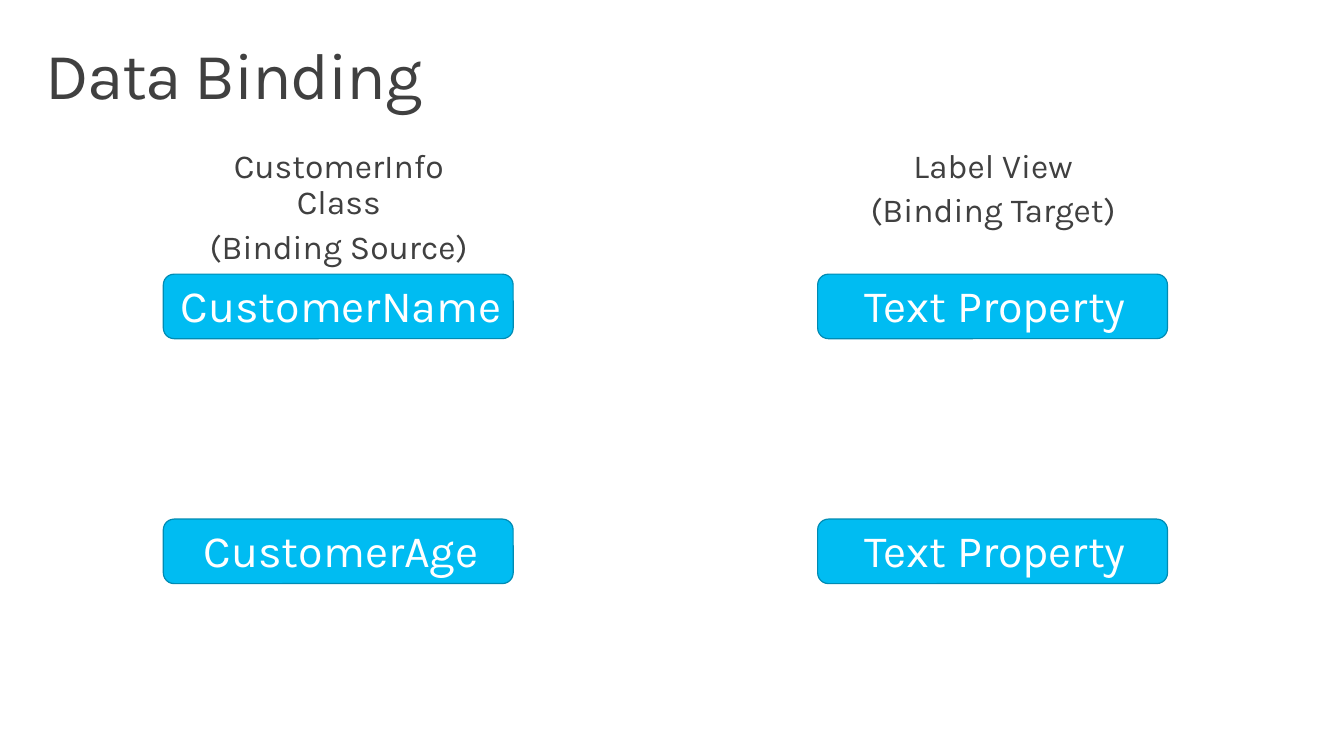
from pptx import Presentation
from pptx import util as u
from pptx.dml import color
from pptx.enum import shapes, text


def paint(hue):
    return color.RGBColor.from_string(hue)


def write(frame, lines, size, hue, pads, anchor=text.MSO_ANCHOR.TOP,
          align=text.PP_ALIGN.CENTER, fit=text.MSO_AUTO_SIZE.NONE,
          space=1.0, after=0, track=0):
    frame.word_wrap = True
    frame.auto_size = fit
    frame.vertical_anchor = anchor
    (frame.margin_left, frame.margin_top,
     frame.margin_right, frame.margin_bottom) = map(u.Inches, pads)
    for i, line in enumerate(lines):
        para = frame.paragraphs[0] if i == 0 else frame.add_paragraph()
        para.alignment = align
        para.line_spacing = space
        para.space_before = u.Pt(0)
        para.space_after = u.Pt(after)
        run = para.add_run()
        run.text = line
        run.font.name = "Karla"
        run.font.size = u.Pt(size)
        run.font.color.rgb = paint(hue)
        if track:
            run.font._element.set("spc", str(track * 100))


deck = Presentation()
deck.slide_width = u.Inches(13.33)
deck.slide_height = u.Inches(7.5)
slide = deck.slides.add_slide(deck.slide_layouts[5])

title = slide.shapes.title
title.left, title.top = u.Inches(0.29), u.Inches(0.32)
title.width, title.height = u.Inches(12.75), u.Inches(0.98)
write(title.text_frame, ["Data Binding"], 47, "404040", (0.16, 0.1, 0.16, 0.1),
      align=text.PP_ALIGN.LEFT, space=0.9, track=-1)

sides = [
    (1.62, ["CustomerInfo Class", "(Binding Source)"], ["CustomerName", "CustomerAge"]),
    (8.11, ["Label View", "(Binding Target)"], ["Text Property"] * 2),
]
for left, head, fields in sides:
    label = slide.shapes.add_textbox(
        u.Inches(left + 0.12), u.Inches(1.32), u.Inches(3.24), u.Inches(1.13))
    write(label.text_frame, head, 24, "404040", (0.2, 0.16, 0.2, 0.16),
          fit=text.MSO_AUTO_SIZE.SHAPE_TO_FIT_TEXT, space=0.9, after=6)
    for top, field in zip((2.72, 5.15), fields):
        box = slide.shapes.add_shape(
            shapes.MSO_SHAPE.ROUNDED_RECTANGLE,
            u.Inches(left), u.Inches(top), u.Inches(3.47), u.Inches(0.64))
        box.shadow.inherit = False
        box.fill.solid()
        box.fill.fore_color.rgb = paint("00BCF2")
        box.line.color.rgb = paint("008BB3")
        box.line.width = u.Pt(0.85)
        write(box.text_frame, [field], 32, "FFFFFF", (0.1, 0.1, 0.04, 0.04),
              anchor=text.MSO_ANCHOR.BOTTOM)

deck.save("out.pptx")
